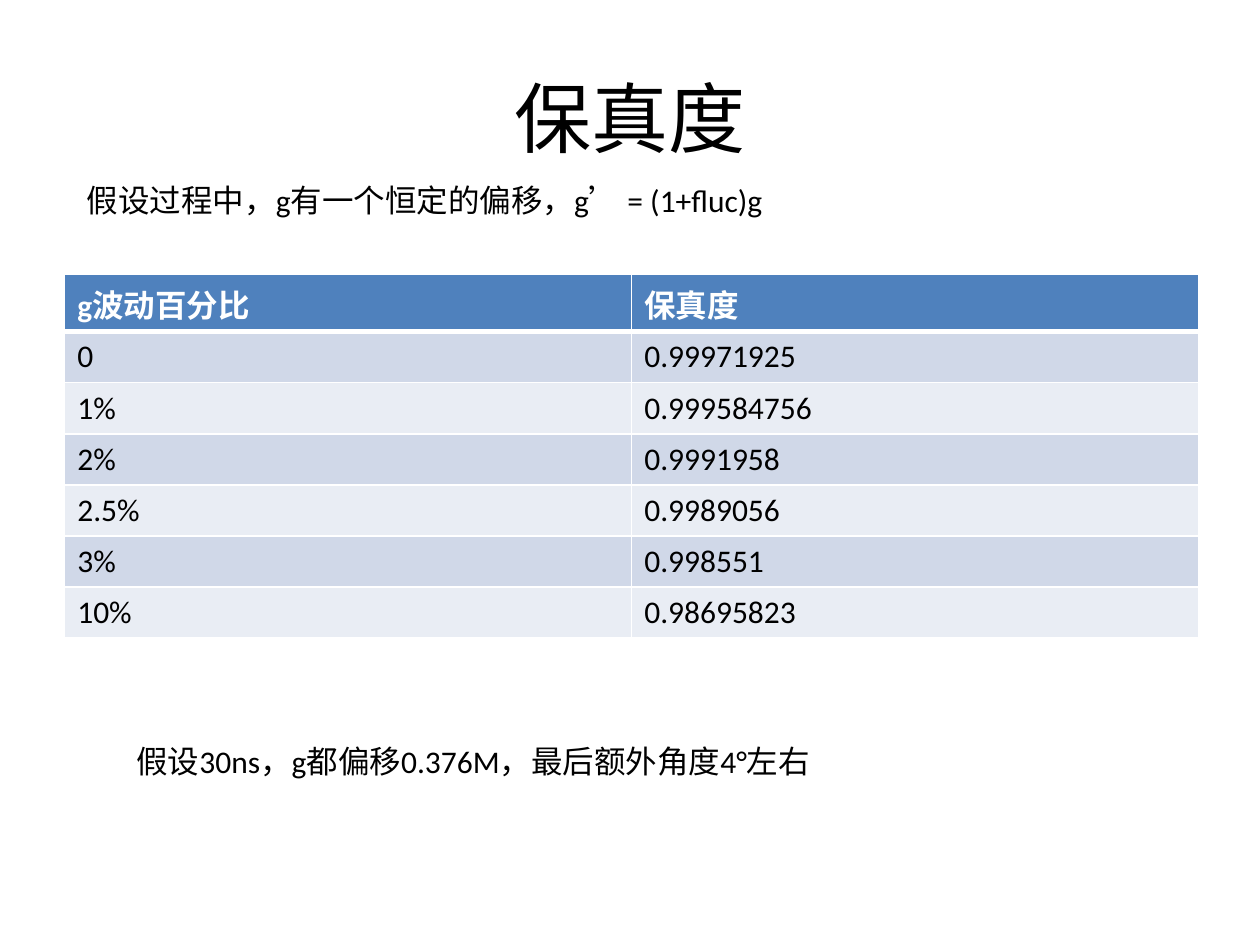
import lxml.etree
import pptx
import pptx.dml.color
import pptx.enum.text
import pptx.oxml.ns
import pptx.util

Pt = pptx.util.Pt
RGBColor = pptx.dml.color.RGBColor
Anchor = pptx.enum.text.MSO_ANCHOR
Align = pptx.enum.text.PP_ALIGN
qn = pptx.oxml.ns.qn

FONT = "Calibri"
BLACK = RGBColor(0x00, 0x00, 0x00)
WHITE = RGBColor(0xFF, 0xFF, 0xFF)
HEADER_BLUE = RGBColor(0x4F, 0x81, 0xBD)
BANDS = (RGBColor(0xE9, 0xED, 0xF4), RGBColor(0xD0, 0xD8, 0xE8))

OFFSET_NOTE = "假设过程中\uff0cg有一个恒定的偏移\uff0cg\u2019 = (1+fluc)g"
ANGLE_NOTE = "假设30ns\uff0cg都偏移0.376M\uff0c最后额外角度4°左右"
FIDELITIES = [
    ("g波动百分比", "保真度"),
    ("0", "0.99971925"),
    ("1%", "0.999584756"),
    ("2%", "0.9991958"),
    ("2.5%", "0.9989056"),
    ("3%", "0.998551"),
    ("10%", "0.98695823"),
]


def write(frame, text, size=18, color=BLACK, bold=False):
    frame.text = text
    font = frame.paragraphs[0].runs[0].font
    font.name = FONT
    font.size = Pt(size)
    font.bold = bold
    font.color.rgb = color


def add_text(slide, text, left, top, width, height, size=18):
    box = slide.shapes.add_textbox(Pt(left), Pt(top), Pt(width), Pt(height))
    box.text_frame.word_wrap = True
    write(box.text_frame, text, size)
    return box.text_frame


def set_borders(cell, top, bottom):
    """Draw white cell borders; call before the fill is set."""
    properties = cell._tc.get_or_add_tcPr()
    for side, width in (("L", 1), ("R", 1), ("T", top), ("B", bottom)):
        line = lxml.etree.SubElement(properties, qn(f"a:ln{side}"), w=str(Pt(width)))
        fill = lxml.etree.SubElement(line, qn("a:solidFill"))
        lxml.etree.SubElement(fill, qn("a:srgbClr"), val=str(WHITE))


def add_fidelity_table(slide, left, top, width, row_height):
    rows, columns = len(FIDELITIES), len(FIDELITIES[0])
    table = slide.shapes.add_table(
        rows, columns, Pt(left), Pt(top), Pt(width), Pt(row_height * rows)
    ).table
    for row, values in enumerate(FIDELITIES):
        header = row == 0
        for column, value in enumerate(values):
            cell = table.cell(row, column)
            set_borders(cell, top=3 if row == 1 else 1, bottom=3 if header else 1)
            cell.fill.solid()
            cell.fill.fore_color.rgb = HEADER_BLUE if header else BANDS[row % 2]
            write(cell.text_frame, value, color=WHITE if header else BLACK, bold=header)
    # The header row is a little taller than the others
    table.rows[0].height = Pt(row_height + 3.6)


def main():
    deck = pptx.Presentation()
    deck.slide_width, deck.slide_height = Pt(720), Pt(540)
    slide = deck.slides.add_slide(deck.slide_layouts[6])

    # Title
    title = add_text(slide, "保真度", 36, 21.6, 648, 90, size=44)
    title.vertical_anchor = Anchor.MIDDLE
    title.paragraphs[0].alignment = Align.CENTER

    # Fidelity for each fluctuation of g
    add_fidelity_table(slide, 37, 156.7, 648, 29.2)

    # Assumptions above and below the table
    add_text(slide, OFFSET_NOTE, 42.5, 100, 459.4, 29)
    add_text(slide, ANGLE_NOTE, 70.9, 420.5, 499, 29)

    deck.save("out.pptx")


main()
